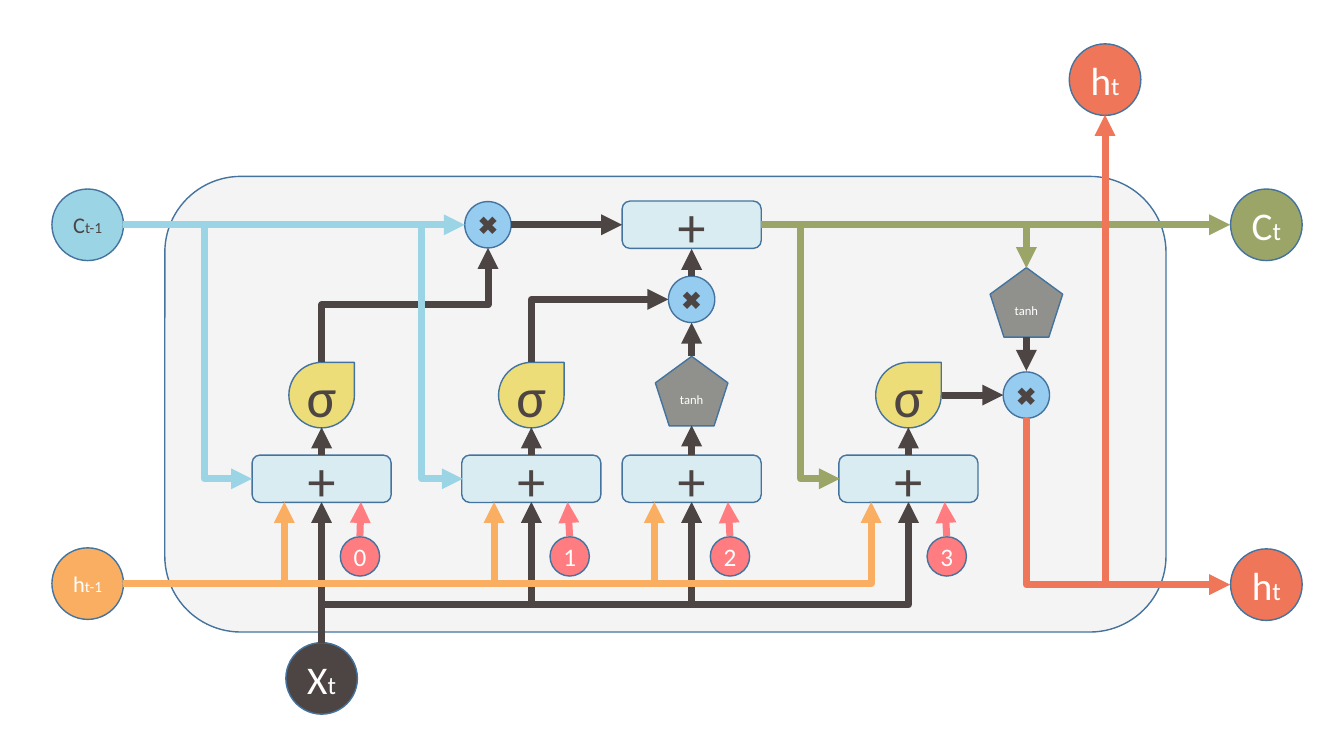
from pptx import Presentation
from pptx.dml.color import RGBColor as RGB
from pptx.enum.shapes import MSO_CONNECTOR as Wire, MSO_SHAPE as Form
from pptx.enum.text import MSO_ANCHOR as Anchor, PP_ALIGN as Align
from pptx.oxml.ns import qn
from pptx.util import Inches as In, Pt
from lxml.etree import SubElement as Sub

HUE = {
    "panel": "F4F4F4", "edge": "43739E", "dark": "4D4543", "white": "FFFFFF",
    "sum": "D9ECF2", "bias": "FF7C80", "mul": "97CCF1", "gate": "EDDD78",
    "tanh": "90918C", "hid": "F9AE62", "cell": "9BD5E5", "next": "9BA568",
    "out": "F07659",
}

# Grid: columns and rows, in inches
GATES = [3.19, 5.27, 6.86, 9.01]
FORGET, INPUT, CAND, OUTPUT = GATES
LEFT, RIGHT = 0.87, 12.56
MUL, TANH, UP = 4.84, 10.18, 10.96
CELL, MIX, ACT, SUM, BIAS, HID, FEED = 2.23, 2.97, 3.92, 4.75, 5.52, 5.79, 6.73

# Kinds of node: form, width, height, fill, text colour, sizes
KIND = {
    "sum": (Form.ROUNDED_RECTANGLE, 1.38, 0.47, "sum", "dark", (40,)),
    "bias": (Form.OVAL, 0.39, 0.39, "bias", "white", (18,)),
    "mul": (Form.OVAL, 0.46, 0.46, "mul", "dark", (18,)),
    "gate": (Form.TEAR, 0.65, 0.65, "gate", "dark", (40,)),
    "tanh": (Form.REGULAR_PENTAGON, 0.72, 0.69, "tanh", "white", (9,)),
    "panel": (Form.ROUNDED_RECTANGLE, 9.93, 4.52, "panel", "dark", ()),
}
for name, ink, sizes in [("dark", "white", (28, 18)), ("hid", "white", (16, 11)),
                         ("cell", "dark", (16, 11)), ("next", "white", (28, 18)),
                         ("out", "white", (28, 18))]:
    KIND[name] = (Form.OVAL, 0.71, 0.71, name, ink, sizes)

FRAME = {"word_wrap": False, "vertical_anchor": Anchor.MIDDLE, "margin_left": 0,
         "margin_right": 0, "margin_top": 0, "margin_bottom": 0}

deck = Presentation()
deck.slide_width, deck.slide_height = In(13.33), In(7.5)
slide = deck.slides.add_slide(deck.slide_layouts[6])
shapes = slide.shapes


def node(kind, x, y, *words):
    """Put a node of one kind with its centre at x, y."""
    form, w, h, fill, ink, sizes = KIND[kind]
    item = shapes.add_shape(form, In(x - w / 2), In(y - h / 2), In(w), In(h))
    item.shadow.inherit = False
    item.fill.solid()
    item.fill.fore_color.rgb = RGB.from_string(HUE[fill])
    item.line.color.rgb = RGB.from_string(HUE["edge"])
    item.line.width = Pt(1)
    for key, val in FRAME.items():
        setattr(item.text_frame, key, val)
    para = item.text_frame.paragraphs[0]
    para.alignment = Align.CENTER
    for word, size in zip(words, sizes):
        run = para.add_run()
        run.text = word
        for key, val in {"name": "Calibri", "size": Pt(size)}.items():
            setattr(run.font, key, val)
        run.font.color.rgb = RGB.from_string(HUE[ink])


def wire(hue, x1, y1, x2, y2, bend=None, rise=False):
    """Draw an arrow; bend is the turn's share of the way, 1 for one corner.

    With rise the arrow leaves vertically: a turned elbow about its middle.
    """
    ends, turn = (x1, y1, x2, y2), 0
    if rise:
        mx, my = (x1 + x2) / 2, (y1 + y2) / 2
        w, h = abs(y2 - y1) / 2, abs(x2 - x1) / 2
        turn, way = (90, 1) if y2 < y1 else (270, -1)
        ends = (mx + w, my + h * way, mx - w, my - h * way)
    form = Wire.STRAIGHT if bend is None else Wire.ELBOW
    item = shapes.add_connector(form, *map(In, ends))
    item.rotation = turn
    item.line.color.rgb = RGB.from_string(HUE[hue])
    item.line.width = Pt(5)
    props = item.element.spPr
    Sub(props.find(qn("a:ln")), qn("a:tailEnd"), type="triangle")
    Sub(props, qn("a:effectLst"))
    geom = props.find(qn("a:prstGeom"))
    if bend == 1:
        geom.set("prst", "bentConnector2")
    elif bend:
        marks = geom.find(qn("a:avLst"))
        if marks is None:
            marks = Sub(geom, qn("a:avLst"))
        Sub(marks, qn("a:gd"), name="adj1", fmla=f"val {round(bend * 100000)}")


# Panel and the nodes around it
node("panel", 6.6, 4.01)
for kind, x, y, *words in [
    ("dark", FORGET, FEED, "X", "t"), ("hid", LEFT, HID, "h", "t-1"),
    ("cell", LEFT, CELL, "C", "t-1"), ("next", RIGHT, CELL, "C", "t"),
    ("out", RIGHT, 5.8, "h", "t"), ("out", UP, 0.79, "h", "t"),
]:
    node(kind, x, y, *words)

# Sums and biases
for i, x in enumerate(GATES):
    node("sum", x, SUM, "+")
    node("bias", x + 0.38, BIAS, str(i))
node("sum", CAND, CELL, "+")

# Products, gates and tanh
for x, y in [(MUL, CELL), (CAND, MIX), (TANH, ACT)]:
    node("mul", x, y, "✖")
for x in (FORGET, INPUT, OUTPUT):
    node("gate", x, ACT, "σ")
for x, y in [(CAND, 3.88), (TANH, 3)]:
    node("tanh", x, y, "tanh")

# Input, bias and hidden state into each sum
wire("dark", FORGET, 6.38, FORGET, 4.98)
for x in GATES[1:]:
    wire("dark", FORGET, 6.38, x, 4.98, 0.27, True)
for x in GATES:
    wire("bias", x + 0.38, 5.32, x + (0.39 if x == FORGET else 0.36), 4.98)
for x in GATES:
    wire("hid", 1.22, HID, x - 0.37, 4.98, 1)

# Sums up to gates
for x in GATES:
    wire("dark", x, 4.51, x, 4.22 if x == CAND else 4.24)

# Straight steps
for hue, *ends in [
    ("cell", 1.22, CELL, 4.61, CELL), ("dark", 5.07, CELL, 6.17, CELL),
    ("dark", CAND, 3.53, CAND, 3.2), ("dark", CAND, 2.74, CAND, 2.47),
    ("next", 7.55, CELL, 12.2, CELL), ("dark", TANH, 3.34, TANH, 3.68),
    ("dark", 9.34, ACT, 9.95, ACT),
]:
    wire(hue, *ends)

# Bent steps
for step in [
    ("dark", INPUT, 3.59, 6.63, MIX, 1, True),
    ("next", 7.55, CELL, TANH, 2.66, 1),
    ("out", TANH, 4.15, 12.2, 5.8, 1, True),
    ("dark", FORGET, 3.59, MUL, 2.46, 0.5, True),
    ("cell", 1.22, CELL, 2.5, SUM, 0.63),
    ("cell", 1.22, CELL, 4.59, SUM, 0.88),
    ("next", 7.55, CELL, 8.33, SUM, 0.5),
]:
    wire(*step)
wire("out", UP, HID, UP, 1.14)

deck.save("out.pptx")
